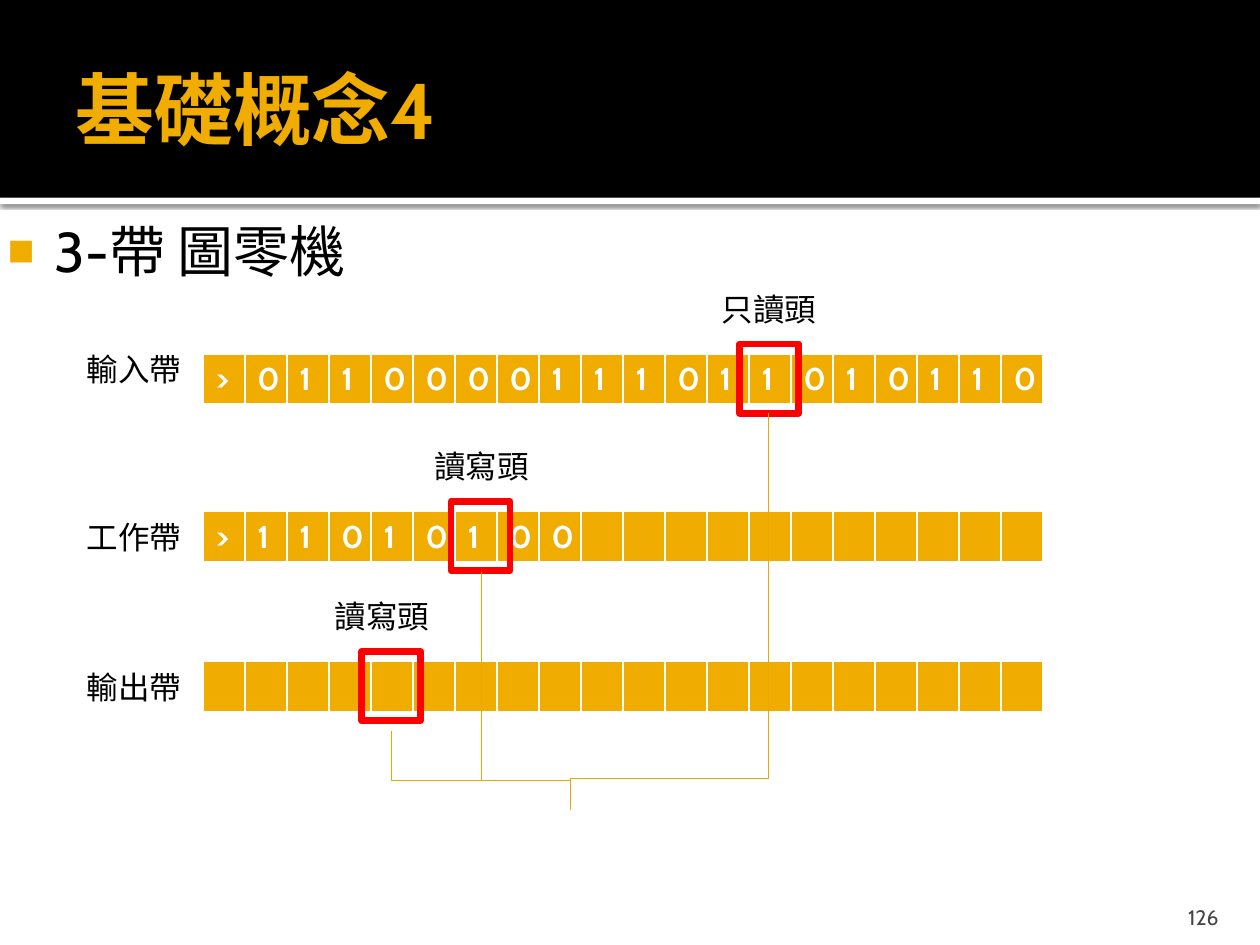
from dataclasses import dataclass
from typing import Any

from lxml.etree import SubElement
from pptx import Presentation
from pptx.dml.color import RGBColor
from pptx.enum.shapes import MSO_CONNECTOR as Conn, MSO_SHAPE as Shape
from pptx.enum.text import MSO_ANCHOR as Anchor, MSO_AUTO_SIZE as Fit, PP_ALIGN as Align
from pptx.oxml import parse_xml
from pptx.oxml.ns import nsdecls, qn
from pptx.util import Inches, Pt

GOLD = RGBColor(0xF0, 0xAD, 0x00)
AMBER = RGBColor(0xEB, 0xA9, 0x00)
RED = RGBColor(0xFF, 0x00, 0x00)
BLACK = RGBColor(0x00, 0x00, 0x00)
WHITE = RGBColor(0xFF, 0xFF, 0xFF)
GREY = RGBColor(0x45, 0x45, 0x45)
FACE = "Cabin"
CELLS = 20
TAPE_X, TAPE_W, TAPE_H = 1.61, 6.67, 0.41
HEAD_W, HEAD_H = 0.47, 0.55


@dataclass
class Tape:
    name: str
    name_y: float
    top: float
    marks: str
    head: str
    head_x: float
    label_x: float


@dataclass
class Link:
    """A bent line that leaves a head downwards."""
    x1: float
    y1: float
    x2: float
    y2: float
    kind: str
    bend: float | None = None


TAPES = [
    Tape("輸入帶", 2.73, 2.81, ">0110000111011010110", "只讀頭", 5.87, 5.63),
    Tape("工作帶", 4.06, 4.06, ">11010100", "讀寫頭", 3.58, 3.35),
    Tape("輸出帶", 5.25, 5.25, "", "讀寫頭", 2.87, 2.56),
]
LINKS = [
    Link(6.1, 3.28, 4.53, 6.43, "bentConnector3", 0.92),
    Link(3.82, 4.54, 4.53, 6.19, "bentConnector3", 1),
    Link(3.11, 5.8, 3.82, 6.19, "bentConnector2"),
]


def apply(item: Any, **values: Any) -> None:
    for key, value in values.items():
        setattr(item, key, value)


def place(shape: Any, x: float, y: float, w: float, h: float) -> None:
    apply(shape, left=Inches(x), top=Inches(y), width=Inches(w), height=Inches(h))


def inset(frame: Any, left: float, top: float, right: float, bottom: float) -> None:
    apply(frame, margin_left=Inches(left), margin_top=Inches(top),
          margin_right=Inches(right), margin_bottom=Inches(bottom))


def write(frame: Any, text: str, size: float, color: RGBColor, bold: bool = False) -> Any:
    para = frame.paragraphs[0]
    run = para.add_run()
    run.text = text
    apply(run.font, name=FACE, size=Pt(size), bold=bold)
    run.font.color.rgb = color
    return para


def add_band(slide: Any, y: float, h: float, color: RGBColor) -> Any:
    """Put a full-width bar behind everything else."""
    band = slide.shapes.add_shape(Shape.RECTANGLE, 0, Inches(y), Inches(10), Inches(h))
    band.shadow.inherit = False
    band.fill.solid()
    band.fill.fore_color.rgb = color
    band.line.fill.background()
    slide.shapes._spTree.insert(2, band._element)
    return band


def add_glow(band: Any) -> None:
    """Give a bar a soft shadow below it."""
    effects = band._element.spPr.find(qn("a:effectLst"))
    effects.append(parse_xml(
        f'<a:outerShdw {nsdecls("a")} blurRad="{Pt(2.5)}" dist="{Pt(0.8)}" dir="5400000" '
        'algn="tl" rotWithShape="0"><a:srgbClr val="000000"><a:alpha val="60000"/>'
        '</a:srgbClr></a:outerShdw>'))


def add_label(slide: Any, text: str, x: float, y: float) -> None:
    box = slide.shapes.add_textbox(Inches(x), Inches(y), Inches(0.96), Inches(0.4))
    apply(box.text_frame, word_wrap=False, auto_size=Fit.SHAPE_TO_FIT_TEXT)
    write(box.text_frame, text, 18, BLACK)


def add_edges(cell: Any) -> None:
    props = cell._tc.get_or_add_tcPr()
    for side, width in {"L": 1, "R": 1, "T": 1, "B": 3}.items():
        props.append(parse_xml(
            f'<a:ln{side} {nsdecls("a")} w="{Pt(width)}"><a:solidFill>'
            f'<a:srgbClr val="{WHITE}"/></a:solidFill></a:ln{side}>'))


def add_tape(slide: Any, tape: Tape) -> None:
    table = slide.shapes.add_table(1, CELLS, Inches(TAPE_X), Inches(tape.top),
                                   Inches(TAPE_W), Inches(TAPE_H)).table
    apply(table, first_row=False, horz_banding=False)
    for col in table.columns:
        col.width = Inches(TAPE_W / CELLS)
    for cell, mark in zip(table.iter_cells(), tape.marks.ljust(CELLS)):
        add_edges(cell)
        cell.fill.solid()
        cell.fill.fore_color.rgb = GOLD
        if mark.strip():
            write(cell.text_frame, mark, 18, WHITE, True)


def add_head(slide: Any, tape: Tape) -> None:
    head = slide.shapes.add_shape(Shape.RECTANGLE, Inches(tape.head_x), Inches(tape.top - 0.08),
                                  Inches(HEAD_W), Inches(HEAD_H))
    head.shadow.inherit = False
    head.fill.background()
    head.line.color.rgb = RED
    head.line.width = Pt(3.78)


def add_link(slide: Any, link: Link) -> None:
    """Draw a sideways elbow and turn it so that it starts downwards."""
    mid_x, mid_y = (link.x1 + link.x2) / 2, (link.y1 + link.y2) / 2
    half_w, half_h = (link.y2 - link.y1) / 2, abs(link.x2 - link.x1) / 2
    right = link.x2 > link.x1
    if right:
        half_w = -half_w
    line = slide.shapes.add_connector(
        Conn.ELBOW, Inches(mid_x - half_w), Inches(mid_y - half_h),
        Inches(mid_x + half_w), Inches(mid_y + half_h))
    line.line.color.rgb = AMBER
    line.line.width = Pt(0.5)
    props = line._element.spPr
    props.find(qn("a:xfrm")).set("rot", str((270 if right else 90) * 60000))
    shape = props.find(qn("a:prstGeom"))
    shape.set("prst", link.kind)
    if link.bend is not None:
        SubElement(shape.find(qn("a:avLst")), qn("a:gd"), name="adj1",
                   fmla=f"val {round(link.bend * 100000)}")
    SubElement(props, qn("a:effectLst"))


def fill_title(title: Any) -> None:
    place(title, 0.5, 0.17, 9, 1.37)
    frame = title.text_frame
    apply(frame, vertical_anchor=Anchor.MIDDLE, auto_size=Fit.NONE)
    inset(frame, 0.1, 0.05, 0.05, 0.05)
    write(frame, "基礎概念4", 45, GOLD, True).alignment = Align.LEFT


def fill_body(body: Any) -> None:
    place(body, 0, 1.62, 9, 5.06)
    frame = body.text_frame
    frame.auto_size = Fit.NONE
    inset(frame, 0.06, 0.1, 0.1, 0.05)
    para = write(frame, "3-帶 圖零機", 32, BLACK)
    para.space_before = Pt(0)
    props = para._p.get_or_add_pPr()
    apply(props, marL=Inches(0.48), indent=Inches(-0.35))
    SubElement(SubElement(props, qn("a:buClr")), qn("a:srgbClr"), val=str(GOLD))
    SubElement(props, qn("a:buSzPct"), val="80000")
    SubElement(props, qn("a:buChar"), char="■")


def add_number(slide: Any) -> None:
    box = slide.shapes.add_textbox(Inches(8.97), Inches(7.08), Inches(0.8), Inches(0.3))
    apply(box.text_frame, word_wrap=True, vertical_anchor=Anchor.BOTTOM)
    inset(box.text_frame, 0.1, 0.05, 0.1, 0)
    write(box.text_frame, "126", 12, GREY).alignment = Align.RIGHT


def main() -> None:
    deck = Presentation()
    apply(deck, slide_width=Inches(10), slide_height=Inches(7.5))
    slide = deck.slides.add_slide(deck.slide_layouts[1])
    add_band(slide, 0, 1.57, BLACK)
    add_glow(add_band(slide, 1.57, 0.05, WHITE))
    fill_title(slide.shapes.title)
    fill_body(slide.placeholders[1])
    add_number(slide)
    for tape in TAPES:
        add_tape(slide, tape)
    for tape in TAPES:
        add_head(slide, tape)
        add_label(slide, tape.head, tape.label_x, tape.top - 0.56)
        add_label(slide, tape.name, 0.59, tape.name_y)
    for link in LINKS:
        add_link(slide, link)
    deck.save("out.pptx")


if __name__ == "__main__":
    main()
